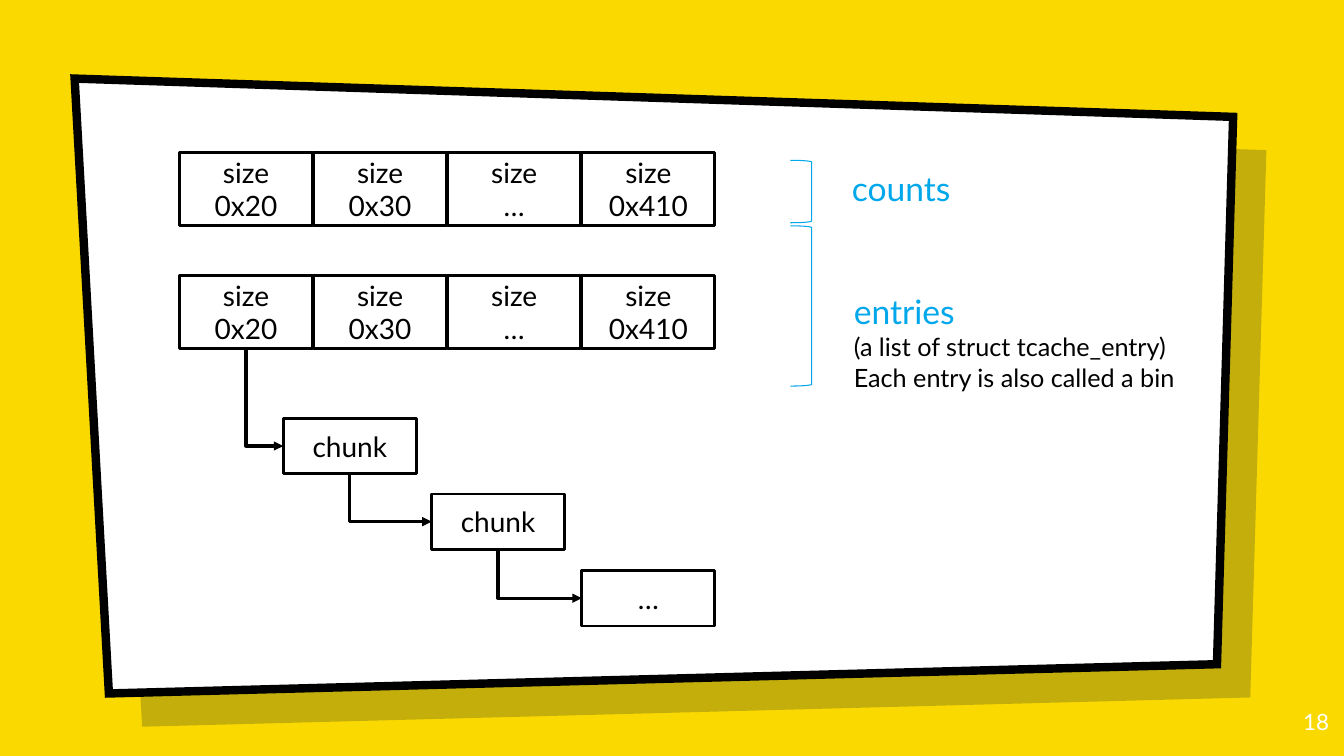
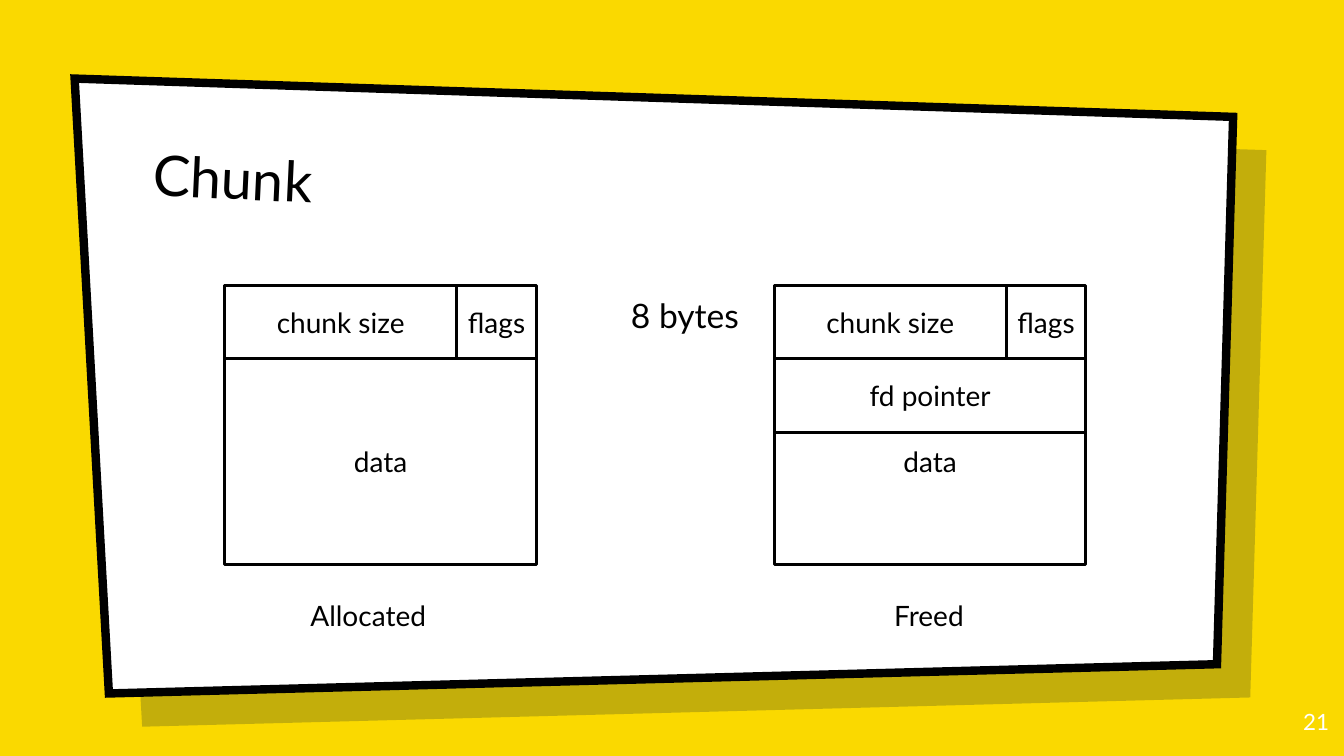
"""Builds two slides on tcache bins and heap chunks."""
from dataclasses import dataclass
from itertools import pairwise

from pptx import Presentation
from pptx.dml.color import RGBColor
from pptx.enum.shapes import MSO_CONNECTOR, MSO_SHAPE
from pptx.enum.text import MSO_ANCHOR, MSO_AUTO_SIZE, PP_ALIGN
from pptx.oxml.ns import qn
from pptx.util import Inches, Pt
from lxml.etree import SubElement


@dataclass(frozen=True)
class Theme:
    """Colours, font and type sizes of the deck."""
    back: RGBColor = RGBColor(0xFA, 0xD9, 0x00)
    shade: RGBColor = RGBColor(0x00, 0x19, 0x36)
    ink: RGBColor = RGBColor(0x00, 0x00, 0x00)
    paper: RGBColor = RGBColor(0xFF, 0xFF, 0xFF)
    blue: RGBColor = RGBColor(0x00, 0xA7, 0xEB)
    font: str = "Lato"
    title: int = 40
    head: int = 24
    label: int = 20
    note: int = 18
    page: int = 16


THEME = Theme()
PANEL = [(0.74, 0.78), (12.23, 1.16), (12.07, 6.59), (1.08, 6.88)]
SHIFT = 0.33
CELL = 1.32
STEP = 1.33
ROW = 0.73
NODE = 0.55


def place(shape, box):
    """Set position and size in inches."""
    shape.left, shape.top, shape.width, shape.height = map(Inches, box)


def write(frame, lines, align=PP_ALIGN.LEFT):
    """Fill a text frame with (text, size, colour) lines."""
    frame.word_wrap = True
    for i, (text, size, color) in enumerate(lines):
        para = frame.add_paragraph() if i else frame.paragraphs[0]
        para.alignment = align
        run = para.add_run()
        run.text = text
        run.font.name = THEME.font
        run.font.size = Pt(size)
        run.font.color.rgb = color


def pad(frame):
    """Give a text frame equal insets."""
    frame.margin_left = frame.margin_right = Inches(0.1)
    frame.margin_top = frame.margin_bottom = Inches(0.1)


def label(slide, box, *lines, align=PP_ALIGN.LEFT):
    """Add a text box and return its frame."""
    frame = slide.shapes.add_textbox(*map(Inches, box)).text_frame
    write(frame, lines, align)
    return frame


def rect(slide, box, *texts):
    """Add an outlined white box with centred lines."""
    shape = slide.shapes.add_shape(MSO_SHAPE.RECTANGLE, *map(Inches, box))
    shape.shadow.inherit = False
    shape.fill.solid()
    shape.fill.fore_color.rgb = THEME.paper
    shape.line.color.rgb = THEME.ink
    shape.line.width = Pt(2)
    shape.text_frame.vertical_anchor = MSO_ANCHOR.MIDDLE
    lines = [(text, THEME.label, THEME.ink) for text in texts]
    write(shape.text_frame, lines, PP_ALIGN.CENTER)
    return shape


def bracket(slide, top, height):
    """Add a thin blue right bracket."""
    box = map(Inches, (7.84, top, 0.21, height))
    shape = slide.shapes.add_shape(MSO_SHAPE.RIGHT_BRACKET, *box)
    shape.shadow.inherit = False
    shape.fill.background()
    shape.line.color.rgb = THEME.blue
    shape.line.width = Pt(0.75)


def arrow(slide, start, end):
    """Join the bottom of one box to the left of another by one bend."""
    x, y = start.left + start.width // 2, start.top + start.height
    wide, high = end.left - x, end.top + end.height // 2 - y
    link = slide.shapes.add_connector(
        MSO_CONNECTOR.ELBOW, x, y, x + wide, y + high)
    link.begin_connect(start, 2)
    link.end_connect(end, 1)
    link.left, link.top = x + (wide - high) // 2, y + (high - wide) // 2
    link.width, link.height = high, wide
    link.line.color.rgb = THEME.ink
    link.line.width = Pt(2.25)
    props = link.element.spPr
    props.find(qn("a:prstGeom")).set("prst", "bentConnector2")
    frame = props.find(qn("a:xfrm"))
    frame.set("rot", "16200000")
    frame.set("flipH", "1")
    SubElement(props.find(qn("a:ln")), qn("a:tailEnd")).set("type", "triangle")
    SubElement(props, qn("a:effectLst"))


def panel(slide, shift, color):
    """Add the slanted panel, moved by shift, without a line."""
    first, *rest = [(Inches(x + shift), Inches(y + shift)) for x, y in PANEL]
    build = slide.shapes.build_freeform(*first, scale=1.0)
    build.add_line_segments(rest, close=True)
    shape = build.convert_to_shape()
    shape.shadow.inherit = False
    shape.fill.solid()
    shape.fill.fore_color.rgb = color
    shape.line.fill.background()
    return shape


def dress(deck, slide):
    """Draw the backdrop and move it to the master."""
    master = deck.slide_master
    master.background.fill.solid()
    master.background.fill.fore_color.rgb = THEME.back
    shade = panel(slide, SHIFT, THEME.shade)
    tint = shade.element.spPr.find(qn("a:solidFill")).find(qn("a:srgbClr"))
    SubElement(tint, qn("a:alpha")).set("val", "22000")
    card = panel(slide, 0, THEME.paper)
    card.line.color.rgb = THEME.ink
    card.line.width = Pt(6)
    edge = card.element.spPr.find(qn("a:ln"))
    SubElement(edge, qn("a:miter")).set("lim", "800000")
    for i, shape in enumerate((shade, card)):
        master.shapes.element.insert(2 + i, shape.element)


def page(slide, number):
    """Add the page number."""
    pad(label(slide, (12.48, 6.93, 0.8, 0.57),
              (number, THEME.page, THEME.paper), align=PP_ALIGN.RIGHT))


def title(slide, text):
    """Place and fill the tilted title."""
    shape = slide.shapes.title
    place(shape, (1.42, 1.28, 10.25, 1.11))
    shape.rotation = 2.7
    frame = shape.text_frame
    frame.auto_size = MSO_AUTO_SIZE.NONE
    frame.vertical_anchor = MSO_ANCHOR.BOTTOM
    pad(frame)
    write(frame, [(text, THEME.title, THEME.ink)])


def bins(slide, top):
    """Add a row of size cells."""
    sizes = ("0x20", "0x30", "…", "0x410")
    return [rect(slide, (1.78 + i * STEP, top, CELL, ROW), "size", size)
            for i, size in enumerate(sizes)]


def cache(slide):
    """Draw the counts, the entries and the chain of chunks."""
    bracket(slide, 1.59, 0.62)
    bracket(slide, 2.24, 1.59)
    label(slide, (8.35, 1.62, 1.4, 0.5), ("counts", THEME.head, THEME.blue))
    label(slide, (8.37, 2.84, 3.46, 1.11),
          ("entries", THEME.head, THEME.blue),
          ("(a list of struct tcache_entry)", THEME.note, THEME.ink),
          ("Each entry is also called a bin", THEME.note, THEME.ink))
    bins(slide, 1.51)
    chain = bins(slide, 2.73)[:1]
    nodes = ((2.81, 4.15, "chunk"), (4.28, 4.9, "chunk"), (5.77, 5.66, "…"))
    for left, top, text in nodes:
        chain.append(rect(slide, (left, top, CELL, NODE), text))
    for start, end in pairwise(chain):
        arrow(slide, start, end)


def chunk(slide, left):
    """Draw the header and data of one chunk."""
    top, size, flag = 2.83, 2.3, 0.79
    rect(slide, (left, top, size, ROW), "chunk size")
    rect(slide, (left + size, top, flag, ROW), "flags")
    rect(slide, (left, top + ROW, size + flag, 2.04), "data")


def heap(slide):
    """Compare an allocated chunk with a freed one."""
    title(slide, "Chunk")
    pad(label(slide, (6.16, 2.83, 1.4, 0.6),
              ("8 bytes", THEME.head, THEME.ink)))
    chunk(slide, 2.23)
    chunk(slide, 7.68)
    rect(slide, (7.68, 3.56, 3.09, ROW), "fd pointer")
    for left, text in ((2.98, "Allocated"), (8.77, "Freed")):
        label(slide, (left, 5.89, 1.5, 0.44), (text, THEME.label, THEME.ink))


def main():
    """Build and save the deck."""
    deck = Presentation()
    deck.slide_width, deck.slide_height = Inches(13.33), Inches(7.5)
    bare, named = deck.slide_layouts[6], deck.slide_layouts[5]
    slides = [deck.slides.add_slide(kind) for kind in (bare, named)]
    dress(deck, slides[0])
    for slide, draw, number in zip(slides, (cache, heap), ("18", "21")):
        draw(slide)
        page(slide, number)
    deck.save("out.pptx")


if __name__ == "__main__":
    main()
